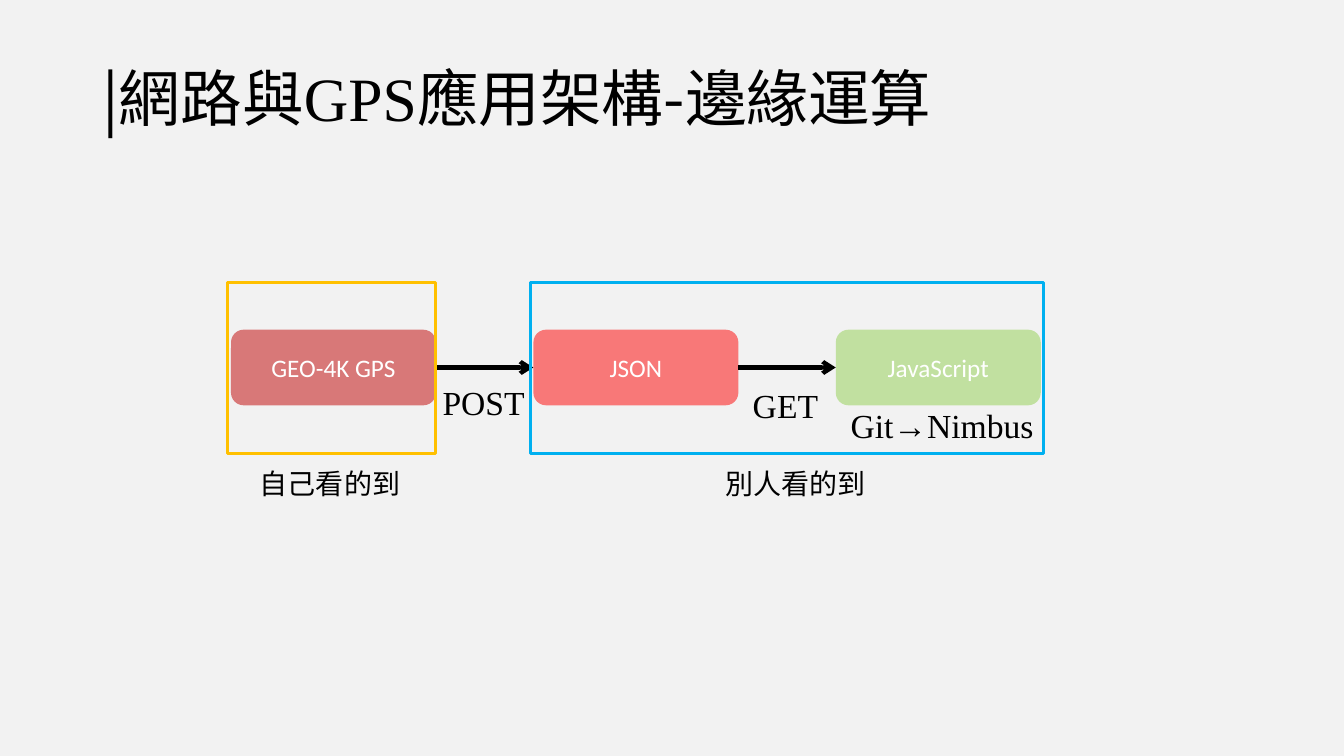
from dataclasses import dataclass

from lxml.etree import SubElement
from pptx import Presentation
from pptx.dml.color import RGBColor
from pptx.enum.shapes import MSO_CONNECTOR, MSO_SHAPE
from pptx.enum.text import MSO_ANCHOR, PP_ALIGN
from pptx.oxml.ns import qn
from pptx.shapes.autoshape import Shape
from pptx.slide import Slide
from pptx.util import Pt

LATIN, CJK, SANS = "Times New Roman", "Noto Sans CJK SC", "Calibri"
BLACK, WHITE = "000000", "FFFFFF"
STAGE_LEFT, STAGE_TOP, STAGE_STEP = 165, 235.5, 216
STAGE_WIDTH, STAGE_HEIGHT = 146.4, 54
ZONE_TOP, ZONE_HEIGHT, ZONE_MARGIN = 201.6, 122.4, 2.2


@dataclass(frozen=True)
class Stage:
    name: str
    color: str


@dataclass(frozen=True)
class Zone:
    first_stage: int
    width: float
    color: str


@dataclass(frozen=True)
class Label:
    text: str
    left: float
    top: float
    width: float
    height: float
    size: float = 24
    font: str = LATIN


STAGES = [
    Stage("GEO-4K GPS", "C00000"),
    Stage("JSON", "FF0000"),
    Stage("JavaScript", "92D050"),
]
ZONES = [Zone(0, 148.6, "FFC000"), Zone(1, 366.8, "00B0F0")]
LABELS = [
    Label("POST", 309, 269.3, 104.4, 36),
    Label("GET", 530.6, 271.4, 104.4, 36),
    Label("Git→Nimbus", 600.5, 285.8, 148.3, 36),
    Label("別人看的到", 511.2, 329.8, 132.5, 31.5, 20, CJK),
    Label("自己看的到", 178.6, 329.8, 132.5, 31.5, 20, CJK),
]
TITLE = [("|網路與", CJK), ("GPS", LATIN), ("應用架構-邊緣運算", CJK)]


def rgb(color: str) -> RGBColor:
    return RGBColor.from_string(color)


def write(shape: Shape, parts: list[tuple[str, str]], *, size: float,
          color: str = BLACK, align: PP_ALIGN = PP_ALIGN.LEFT,
          anchor: MSO_ANCHOR = MSO_ANCHOR.TOP, spacing: float = 1.0) -> None:
    """Fill a shape with one paragraph of (text, font) parts."""
    frame = shape.text_frame
    frame.word_wrap = True
    frame.vertical_anchor = anchor
    paragraph = frame.paragraphs[0]
    paragraph.alignment = align
    paragraph.line_spacing = spacing
    for text, font in parts:
        run = paragraph.add_run()
        run.text = text
        run.font.size = Pt(size)
        run.font.color.rgb = rgb(color)
        run.font.name = font
        if font == CJK:
            SubElement(run.font._element, qn("a:ea"), typeface=font)


def stage_left(index: int) -> float:
    return STAGE_LEFT + index * STAGE_STEP


def draw_stage(slide: Slide, index: int, stage: Stage) -> None:
    box = slide.shapes.add_shape(
        MSO_SHAPE.ROUNDED_RECTANGLE, Pt(stage_left(index)), Pt(STAGE_TOP),
        Pt(STAGE_WIDTH), Pt(STAGE_HEIGHT))
    box.shadow.inherit = False
    box.fill.solid()
    box.fill.fore_color.rgb = rgb(stage.color)
    fill_color = box._element.spPr.find(qn("a:solidFill"))[0]
    SubElement(fill_color, qn("a:alpha"), val="50000")
    box.line.fill.background()
    write(box, [(stage.name, SANS)], size=18, color=WHITE,
          align=PP_ALIGN.CENTER, anchor=MSO_ANCHOR.MIDDLE)


def draw_arrow(slide: Slide, index: int) -> None:
    """Join a stage to the one after it."""
    middle = Pt(STAGE_TOP + STAGE_HEIGHT / 2)
    arrow = slide.shapes.add_connector(
        MSO_CONNECTOR.STRAIGHT, Pt(stage_left(index) + STAGE_WIDTH), middle,
        Pt(stage_left(index + 1)), middle)
    arrow.line.color.rgb = rgb(BLACK)
    arrow.line.width = Pt(3)
    SubElement(arrow.line._get_or_add_ln(), qn("a:tailEnd"), type="arrow")
    SubElement(arrow._element.spPr, qn("a:effectLst"))


def draw_zone(slide: Slide, zone: Zone) -> None:
    frame = slide.shapes.add_shape(
        MSO_SHAPE.RECTANGLE, Pt(stage_left(zone.first_stage) - ZONE_MARGIN),
        Pt(ZONE_TOP), Pt(zone.width), Pt(ZONE_HEIGHT))
    frame.shadow.inherit = False
    frame.fill.background()
    frame.line.color.rgb = rgb(zone.color)
    frame.line.width = Pt(2.25)


def draw_label(slide: Slide, label: Label) -> None:
    box = slide.shapes.add_textbox(
        Pt(label.left), Pt(label.top), Pt(label.width), Pt(label.height))
    write(box, [(label.text, label.font)], size=label.size)


def main() -> None:
    presentation = Presentation()
    presentation.slide_width, presentation.slide_height = Pt(960), Pt(540)
    slide = presentation.slides.add_slide(presentation.slide_layouts[6])
    slide.background.fill.solid()
    slide.background.fill.fore_color.rgb = rgb("F2F2F2")

    title = slide.shapes.add_textbox(Pt(66), Pt(28.8), Pt(639.4), Pt(87))
    write(title, TITLE, size=44, anchor=MSO_ANCHOR.MIDDLE, spacing=0.9)
    for index, stage in enumerate(STAGES):
        draw_stage(slide, index, stage)
    for index in range(len(STAGES) - 1):
        draw_arrow(slide, index)
    for zone in ZONES:
        draw_zone(slide, zone)
    for label in LABELS:
        draw_label(slide, label)
    presentation.save("out.pptx")


if __name__ == "__main__":
    main()
